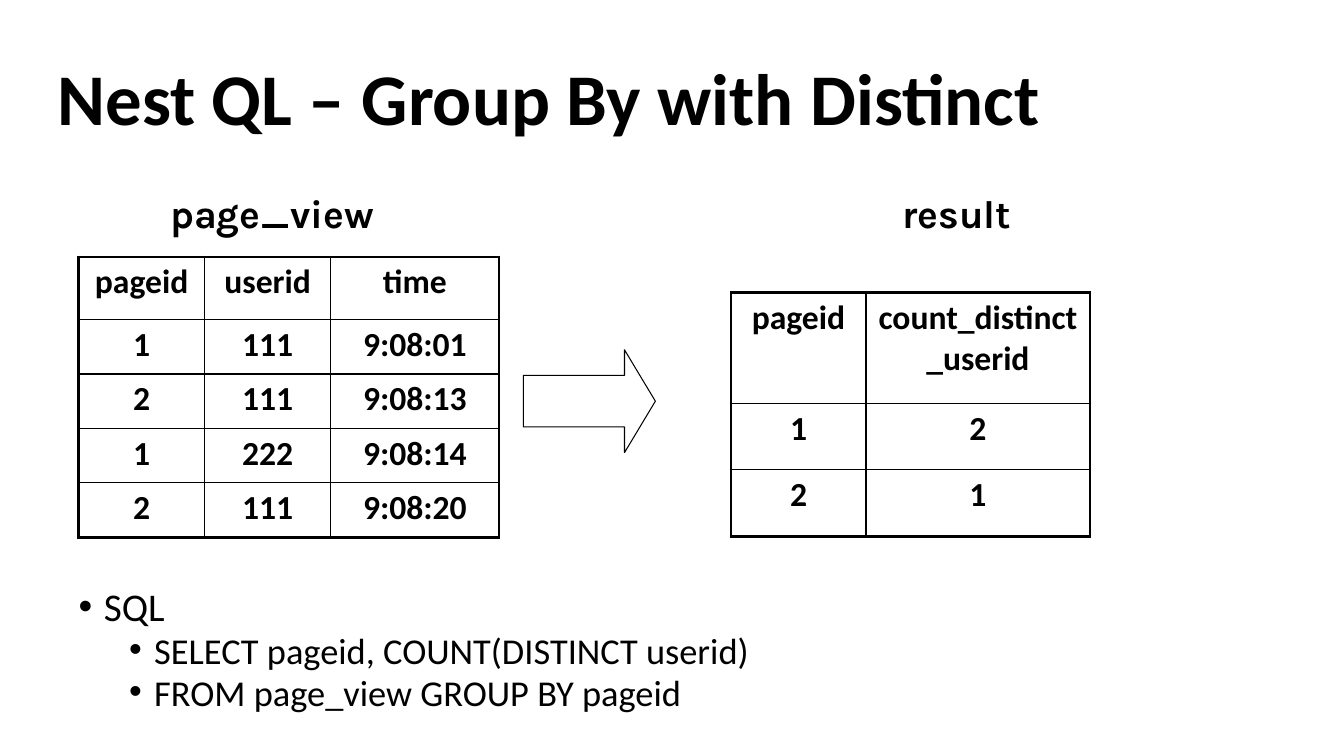
from dataclasses import dataclass

from lxml import etree
from pptx import Presentation
from pptx.dml.color import RGBColor
from pptx.enum.shapes import MSO_SHAPE
from pptx.enum.text import MSO_ANCHOR, MSO_AUTO_SIZE, PP_ALIGN
from pptx.oxml.ns import qn
from pptx.util import Emu, Pt

BLACK = RGBColor(0, 0, 0)
WHITE = RGBColor(255, 255, 255)
CENTER, LEFT = PP_ALIGN.CENTER, PP_ALIGN.LEFT
TOP, MIDDLE = MSO_ANCHOR.TOP, MSO_ANCHOR.MIDDLE
NO_AUTOFIT = MSO_AUTO_SIZE.NONE
RIGHT_ARROW = MSO_SHAPE.RIGHT_ARROW
EMU_PER_PX = 9144
OUTER_BORDER, INNER_BORDER = 2.25, 1
NO_MARGINS = {"margin_left": 0, "margin_top": 0, "margin_right": 0, "margin_bottom": 0}


@dataclass(frozen=True)
class Box:
    left: int
    top: int
    width: int
    height: int

    def emu(self) -> tuple[Emu, ...]:
        return tuple(map(px, (self.left, self.top, self.width, self.height)))


@dataclass(frozen=True)
class Relation:
    name: str
    label_box: Box
    left: int
    top: int
    columns: tuple[int, ...]
    row_heights: tuple[int, ...]
    rows: tuple[tuple[str, ...], ...]


@dataclass(frozen=True)
class Bullet:
    text: str
    level: int
    size: int
    indent: int
    space_before: int


RELATIONS = (
    Relation("page_view", Box(155, 183, 230, 57), 78, 255, (125, 125, 167), (62, 54, 54, 54, 54), (
        ("pageid", "userid", "time"),
        ("1", "111", "9:08:01"),
        ("2", "111", "9:08:13"),
        ("1", "222", "9:08:14"),
        ("2", "111", "9:08:20"),
    )),
    Relation("result", Box(869, 183, 160, 57), 725, 290, (134, 222), (110, 66, 66), (
        ("pageid", "count_distinct_userid"),
        ("1", "2"),
        ("2", "1"),
    )),
)

QUERY = (
    Bullet("SQL", 0, 28, 25, 10),
    Bullet("SELECT pageid, COUNT(DISTINCT userid)", 1, 26, 75, 5),
    Bullet("FROM page_view GROUP BY pageid", 1, 26, 75, 5),
)


def px(length: int) -> Emu:
    return Emu(length * EMU_PER_PX)


def apply(target, values: dict) -> None:
    for name, value in values.items():
        setattr(target, name, value)


def write(paragraph, text: str, size: int, font: str = "Calibri", bold: bool = True, align=CENTER) -> None:
    paragraph.alignment = align
    run = paragraph.add_run()
    run.text = text
    apply(run.font, {"name": font, "size": Pt(size), "bold": bold})
    run.font.color.rgb = BLACK


def place_title(slide, text: str) -> None:
    title = slide.shapes.title
    apply(title, dict(zip(("left", "top", "width", "height"), Box(57, 50, 1173, 107).emu())))
    frame = title.text_frame
    apply(frame, NO_MARGINS | {"word_wrap": True, "auto_size": NO_AUTOFIT, "vertical_anchor": MIDDLE})
    heading = frame.paragraphs[0]
    heading.line_spacing = 0.8
    write(heading, text, 52, align=LEFT)


def border_cell(cell, widths: dict[str, float]) -> None:
    properties = cell._tc.get_or_add_tcPr()
    for position, (side, width) in enumerate(widths.items()):
        line = etree.Element(qn(f"a:ln{side}"), w=str(Pt(width)))
        color = etree.SubElement(etree.SubElement(line, qn("a:solidFill")), qn("a:srgbClr"))
        color.set("val", str(BLACK))
        properties.insert(position, line)


def fill_cell(cell) -> None:
    cell.fill.solid()
    cell.fill.fore_color.rgb = WHITE
    color = cell._tc.tcPr.find(f".//{qn('a:srgbClr')}")
    etree.SubElement(color, qn("a:alpha"), val="50000")


def draw_relation(slide, relation: Relation) -> None:
    label = slide.shapes.add_textbox(*relation.label_box.emu()).text_frame
    label.word_wrap = False
    write(label.paragraphs[0], relation.name, 28, font="Karla")

    box = Box(relation.left, relation.top, sum(relation.columns), sum(relation.row_heights))
    last_row, last_column = len(relation.rows) - 1, len(relation.columns) - 1
    table = slide.shapes.add_table(last_row + 1, last_column + 1, *box.emu()).table
    apply(table, {"first_row": False, "horz_banding": False})
    for column, width in zip(table.columns, relation.columns):
        column.width = px(width)
    for row, height in zip(table.rows, relation.row_heights):
        row.height = px(height)
    for r, values in enumerate(relation.rows):
        for c, value in enumerate(values):
            cell = table.cell(r, c)
            write(cell.text_frame.paragraphs[0], value, 24)
            fill_cell(cell)
            on_edge = {"L": c == 0, "R": c == last_column, "T": r == 0, "B": r == last_row}
            border_cell(cell, {side: OUTER_BORDER if edge else INNER_BORDER for side, edge in on_edge.items()})


def draw_arrow(slide, box: Box) -> None:
    arrow = slide.shapes.add_shape(RIGHT_ARROW, *box.emu())
    arrow.shadow.inherit = False
    arrow.adjustments[0], arrow.adjustments[1] = 0.5, 0.3
    arrow.fill.solid()
    arrow.fill.fore_color.rgb = WHITE
    arrow.line.color.rgb = BLACK
    arrow.line.width = Pt(0.75)


def draw_query(slide, box: Box, bullets: tuple[Bullet, ...]) -> None:
    frame = slide.shapes.add_textbox(*box.emu()).text_frame
    apply(frame, NO_MARGINS | {"word_wrap": True, "vertical_anchor": TOP})
    for index, bullet in enumerate(bullets):
        paragraph = frame.add_paragraph() if index else frame.paragraphs[0]
        apply(paragraph, {"level": bullet.level, "line_spacing": 0.8, "space_before": Pt(bullet.space_before)})
        write(paragraph, bullet.text, bullet.size, bold=False, align=LEFT)
        properties = paragraph._p.get_or_add_pPr()
        properties.set("marL", str(px(bullet.indent)))
        properties.set("indent", str(px(-25)))
        etree.SubElement(properties, qn("a:buFont"), typeface="Arial")
        etree.SubElement(properties, qn("a:buChar"), char="•")


def main() -> None:
    presentation = Presentation()
    apply(presentation, {"slide_width": px(1333), "slide_height": px(750)})
    slide = presentation.slides.add_slide(presentation.slide_layouts.get_by_name("Title Only"))
    place_title(slide, "Nest QL – Group By with Distinct")
    draw_query(slide, Box(78, 587, 1280, 130), QUERY)
    for relation in RELATIONS:
        draw_relation(slide, relation)
    draw_arrow(slide, Box(519, 347, 131, 102))
    presentation.save("out.pptx")


if __name__ == "__main__":
    main()
